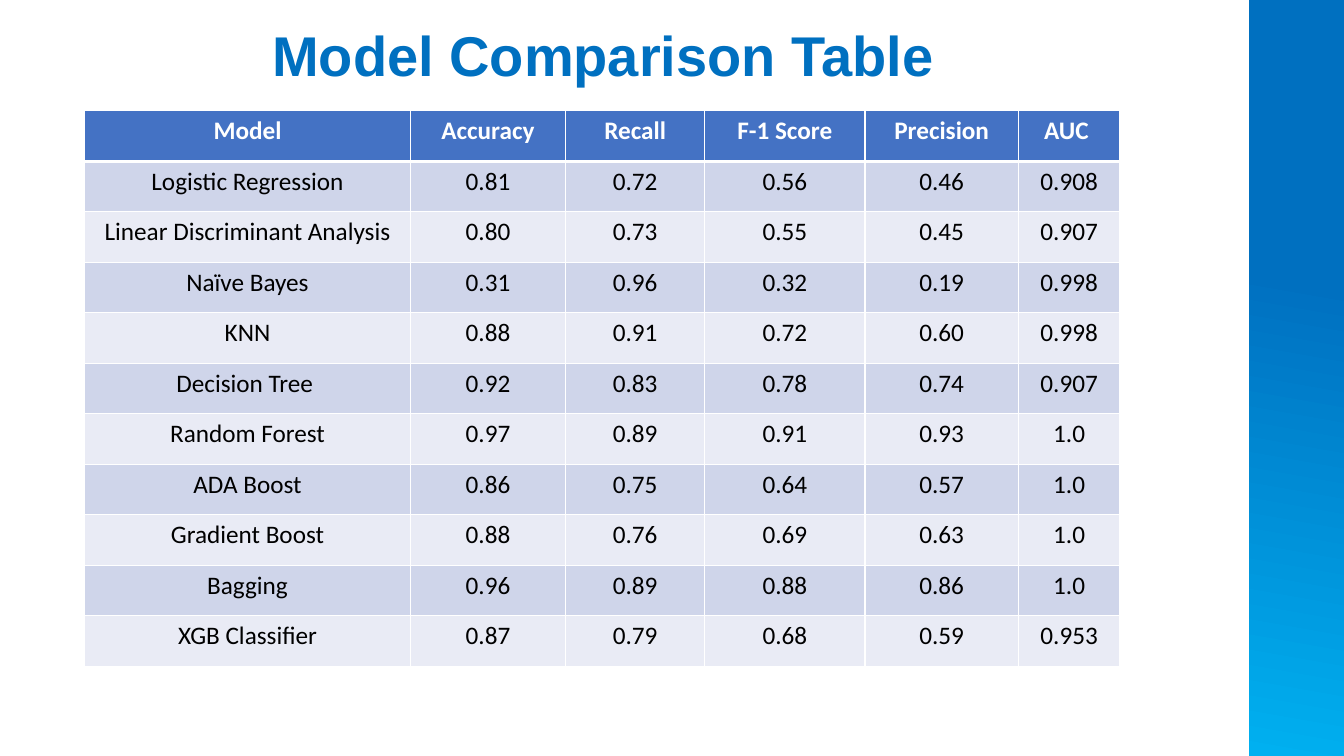
import pptx
import pptx.dml.color
import pptx.enum.shapes
import pptx.enum.text
import pptx.oxml
import pptx.oxml.ns
import pptx.util
from pptx.util import Inches

BLUE, SKY, WHITE, BLACK = "0070C0", "00B0F0", "FFFFFF", "000000"
HEADER_FILL, BAND_FILLS = "4472C4", ("CFD5EA", "E9EBF5")
COLUMN_WIDTHS = (3.23, 1.54, 1.38, 1.59, 1.52, 1.01)
MODEL_SCORES = (
    ("Model", "Accuracy", "Recall", "F-1 Score", "Precision", "AUC "),
    ("Logistic Regression", "0.81", "0.72", "0.56", "0.46", "0.908"),
    ("Linear Discriminant Analysis", "0.80", "0.73", "0.55", "0.45", "0.907"),
    ("Naïve Bayes", "0.31", "0.96", "0.32", "0.19", "0.998"),
    ("KNN", "0.88", "0.91", "0.72", "0.60", "0.998"),
    ("Decision Tree ", "0.92", "0.83", "0.78", "0.74", "0.907"),
    ("Random Forest", "0.97", "0.89", "0.91", "0.93", "1.0"),
    ("ADA Boost", "0.86", "0.75", "0.64", "0.57", "1.0"),
    ("Gradient Boost", "0.88", "0.76", "0.69", "0.63", "1.0"),
    ("Bagging", "0.96", "0.89", "0.88", "0.86", "1.0"),
    ("XGB Classifier", "0.87", "0.79", "0.68", "0.59", "0.953"),
)


def color(hex_string):
    return pptx.dml.color.RGBColor.from_string(hex_string)


def write_text(text_frame, text, *, size, font, text_color, bold=False):
    paragraph = text_frame.paragraphs[0]
    paragraph.alignment = pptx.enum.text.PP_ALIGN.CENTER
    run = paragraph.add_run()
    run.text = text
    run.font.size = pptx.util.Pt(size)
    run.font.name = font
    run.font.bold = bold
    run.font.color.rgb = color(text_color)


def set_borders(cell, widths):
    """Draw white cell borders; widths maps side letters to points."""
    properties = cell._tc.get_or_add_tcPr()
    for side, width in widths.items():
        properties.append(pptx.oxml.parse_xml(
            f'<a:ln{side} {pptx.oxml.ns.nsdecls("a")} w="{pptx.util.Pt(width)}">'
            f'<a:solidFill><a:srgbClr val="{WHITE}"/></a:solidFill></a:ln{side}>'))


def add_side_band(slide, left, top, width, height):
    band = slide.shapes.add_shape(
        pptx.enum.shapes.MSO_SHAPE.RECTANGLE,
        Inches(left), Inches(top), Inches(width), Inches(height))
    band.shadow.inherit = False
    band.line.fill.background()
    band.fill.gradient()
    band.fill.gradient_angle = 260
    for stop, position, stop_color in zip(
            band.fill.gradient_stops, (0.37, 1), (BLUE, SKY)):
        stop.position = position
        stop.color.rgb = color(stop_color)


def place_title(slide, text, left, top, width, height):
    title = slide.shapes.title
    title.left, title.top = Inches(left), Inches(top)
    title.width, title.height = Inches(width), Inches(height)
    title.text_frame.word_wrap = True
    title.text_frame.vertical_anchor = pptx.enum.text.MSO_ANCHOR.TOP
    write_text(title.text_frame, text, size=40, font="Arial",
               text_color=BLUE, bold=True)


def add_score_table(slide, left, top, width, height):
    table = slide.shapes.add_table(
        len(MODEL_SCORES), len(COLUMN_WIDTHS),
        Inches(left), Inches(top), Inches(width), Inches(height)).table
    # Columns share the width in proportion
    for column, share in zip(table.columns, COLUMN_WIDTHS):
        column.width = Inches(width * share / sum(COLUMN_WIDTHS))
    # Header row, then alternating bands
    for row_index, row in enumerate(MODEL_SCORES):
        is_header = row_index == 0
        fill = HEADER_FILL if is_header else BAND_FILLS[(row_index - 1) % 2]
        for column_index, text in enumerate(row):
            cell = table.cell(row_index, column_index)
            set_borders(cell, {"L": 1, "R": 1,
                               "T": 3 if row_index == 1 else 1,
                               "B": 3 if is_header else 1})
            cell.fill.solid()
            cell.fill.fore_color.rgb = color(fill)
            write_text(cell.text_frame, text, size=18, font="Calibri",
                       text_color=WHITE if is_header else BLACK, bold=is_header)


def main():
    presentation = pptx.Presentation()
    presentation.slide_width = Inches(13.33)
    presentation.slide_height = Inches(7.5)
    slide = presentation.slides.add_slide(
        presentation.slide_layouts.get_by_name("Title Only"))
    add_side_band(slide, 12.39, 0, 0.94, 7.5)
    place_title(slide, "Model Comparison Table", 0.14, 0.15, 11.68, 0.77)
    add_score_table(slide, 0.84, 1.1, 10.27, 5.51)
    presentation.save("out.pptx")


if __name__ == "__main__":
    main()
